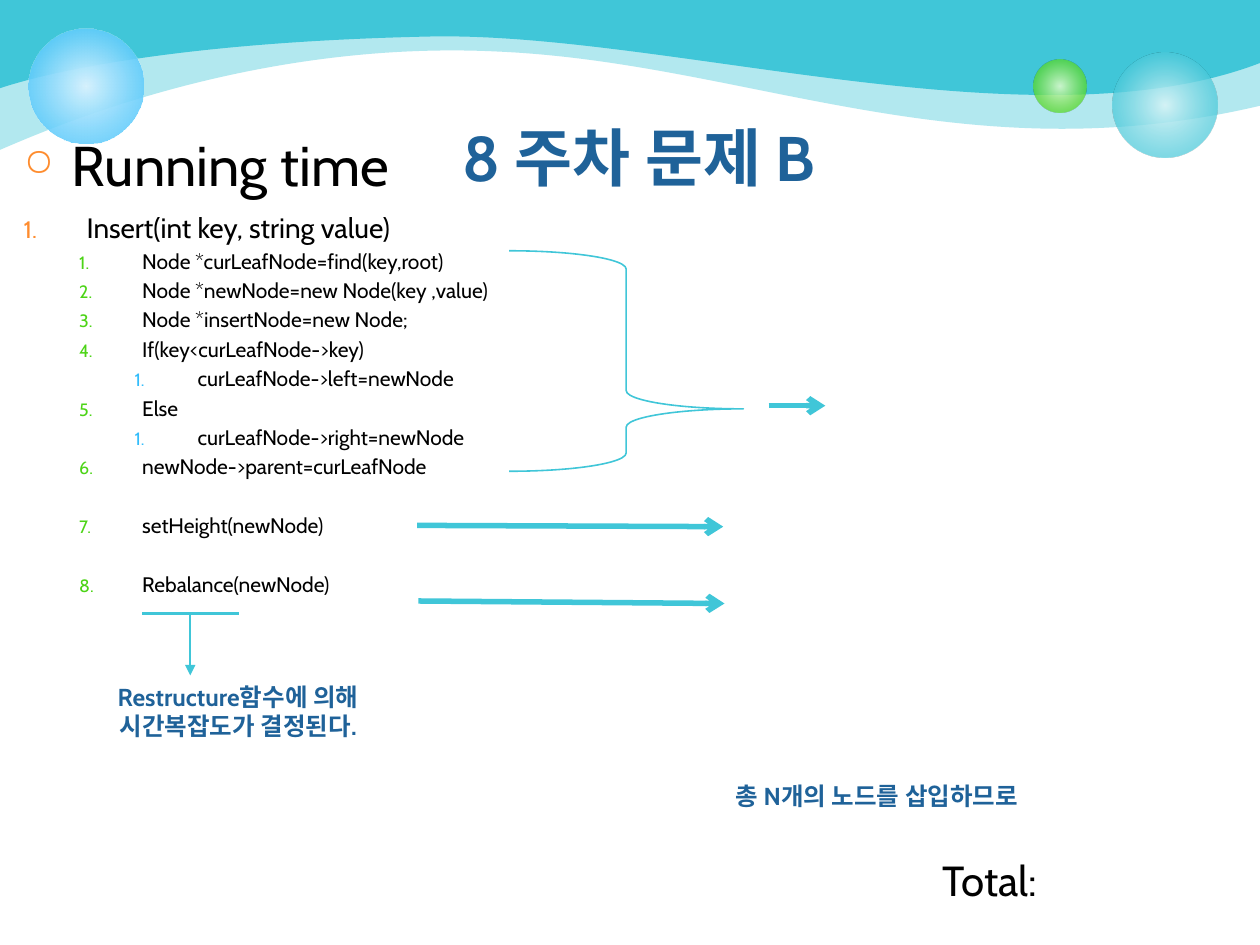
from pptx import Presentation, util as u
from pptx.dml.color import RGBColor
from pptx.enum import shapes, text
from pptx.oxml import parse_xml
from pptx.oxml.ns import nsdecls
from lxml import etree

FONT = "Cabin"
HUE = {"teal": "40C6D8", "navy": "1F6299", "ink": "000000",
       "orange": "FE8C2E", "green": "4CD416", "sky": "33BDFB"}
PLAIN = text.PP_ALIGN.LEFT
MID = text.PP_ALIGN.CENTER

WAVES = [
    (40, (0, 1.19), [(0.33, 1.05), (1.97, 0.31), (3.96, 0.41),
                     (5.95, 0.5), (7.62, 1.4), (10, 0.84)]),
    (100, (0, 0.7), [(0.45, 0.55), (1.53, 0.33), (3.41, 0.29),
                     (5.29, 0.25), (8.2, 1.19), (10, 0.5)]),
]
BALLS = [
    (8.83, 0.42, 0.83, [(0, "D9F4F7", 90), (76, "40C6D8", 70)]),
    (8.2, 0.47, 0.42, [(0, "DAFACD", 90), (76, "4CD416", 70)]),
    (0.23, 0.23, 0.91, [(0, "D6F2FE", 100), (100, "33BDFB", 80)]),
]
STEPS = [
    (0, "Insert(int key, string value)", 0),
    (1, "Node *curLeafNode=find(key,root)", 2.4),
    (1, "Node *newNode=new Node(key ,value)", 2.4),
    (1, "Node *insertNode=new Node;", 2.4),
    (1, "If(key<curLeafNode->key)", 2.4),
    (2, "curLeafNode->left=newNode", 2.4),
    (1, "Else", 2.4),
    (2, "curLeafNode->right=newNode", 2.4),
    (1, "newNode->parent=curLeafNode", 2.4),
    (1, "setHeight(newNode)", 19.2),
    (1, "Rebalance(newNode)", 19.2),
]
LEVELS = [(16, 0.5, "orange"), (12, 0.94, "green"), (12, 1.38, "sky")]
NOTES = [
    ((7.38, 6.73, 1.25, 0.5), "Total:", 24, "ink", PLAIN),
    ((2.46, 6.15, 9, 1.25), "총 N개의 노드를 삽입하므로", 14, "navy", MID),
    ((0.35, 5.36, 3.08, 0.61),
     "Restructure함수에 의해\n시간복잡도가 결정된다.", 14, "navy", MID),
]
LINES = [
    ((6.1, 3.22, 6.55, 3.22), 3.15, "arrow"),
    ((3.31, 4.17, 5.74, 4.18), 3.15, "arrow"),
    ((3.32, 4.77, 5.75, 4.79), 3.15, "arrow"),
    ((1.13, 4.87, 1.9, 4.87), 1.75, None),
    ((1.51, 4.87, 1.51, 5.36), 0.9, "triangle"),
]

deck = Presentation()
deck.slide_width, deck.slide_height = u.Inches(10), u.Inches(7.5)
slide = deck.slides.add_slide(deck.slide_layouts[5])
parts = slide.shapes


def inch(vals):
    return [u.Inches(v) for v in vals]


def rgb(name):
    return RGBColor.from_string(HUE[name])


def sub(node, tag, **attrs):
    space = node.nsmap["a"]
    return etree.SubElement(node, f"{{{space}}}{tag}", attrs)


def wave(alpha, start, bends):
    pen = parts.build_freeform(0, 0)
    pts = [start] + bends + [(10, 0)]
    pen.add_line_segments([inch(p) for p in pts], close=True)
    form = pen.convert_to_shape()
    legs = form._element.findall(".//{*}lnTo")[1:-1]
    for i in range(0, len(bends), 3):
        bend = parse_xml(f'<a:cubicBezTo {nsdecls("a")}/>')
        legs[i].addprevious(bend)
        for leg in legs[i:i + 3]:
            bend.append(leg[0])
            leg.getparent().remove(leg)
    form.shadow.inherit = False
    form.fill.solid()
    form.fill.fore_color.rgb = rgb("teal")
    form.line.fill.background()
    if alpha < 100:
        tint = form._element.spPr.find("{*}solidFill/{*}srgbClr")
        sub(tint, "alpha", val=str(alpha * 1000))


def ball(x, y, size, stops):
    disc = parts.add_shape(shapes.MSO_SHAPE.OVAL, *inch((x, y, size, size)))
    disc.line.fill.background()
    disc.shadow.inherit = False
    marks = "".join(
        f'<a:gs pos="{pos * 1000}"><a:srgbClr val="{tint}">'
        f'<a:alpha val="{alpha * 1000}"/></a:srgbClr></a:gs>'
        for pos, tint, alpha in stops)
    grad = parse_xml(
        f'<a:gradFill {nsdecls("a")}><a:gsLst>{marks}</a:gsLst>'
        '<a:path path="circle"><a:fillToRect l="50000" t="50000" '
        'r="50000" b="50000"/></a:path></a:gradFill>')
    disc._element.spPr.find("{*}prstGeom").addnext(grad)


def style(para, size, hue, bold=False, align=PLAIN):
    para.alignment = align
    for run in para.runs:
        run.font.size, run.font.name = u.Pt(size), FONT
        run.font.bold, run.font.color.rgb = bold, rgb(hue)


def bullet(para, left, hang, hue, share, kind, **attrs):
    prop = para._p.get_or_add_pPr()
    prop.set("marL", str(u.Inches(left)))
    prop.set("indent", str(-u.Inches(hang)))
    sub(sub(prop, "buClr"), "srgbClr", val=HUE[hue])
    sub(prop, "buSzPct", val=str(share * 1000))
    sub(prop, kind, **attrs)


def box(place, words, wrap=True):
    frame = parts.add_textbox(*inch(place)).text_frame
    frame.word_wrap = wrap
    frame.text = words
    return frame


def link(ends, width, head):
    line = parts.add_connector(shapes.MSO_CONNECTOR.STRAIGHT, *inch(ends))
    line.line.color.rgb, line.line.width = rgb("teal"), u.Pt(width)
    if head:
        sub(line._element.spPr.find("{*}ln"), "tailEnd", type=head)
    sub(line._element.spPr, "effectLst")


for item in WAVES:
    wave(*item)
for item in BALLS:
    ball(*item)

head = box((0.09, 0.99, 3.22, 0.64), "Running time", False).paragraphs[0]
bullet(head, 0.38, 0.38, "orange", 68, "buChar", char="○")
style(head, 32, "ink")

brace = parts.add_shape(shapes.MSO_SHAPE.RIGHT_BRACE,
                        *inch((4.04, 1.99, 1.86, 1.75)))
brace.adjustments[0], brace.adjustments[1] = 0.083, 0.717
brace.fill.background()
brace.line.color.rgb, brace.line.width = rgb("teal"), u.Pt(0.9)
brace.shadow.inherit = False

body = box((0.09, 1.62, 8.66, 5.96), "\n".join(s[1] for s in STEPS))
for para, (level, _, gap) in zip(body.paragraphs, STEPS):
    size, left, hue = LEVELS[level]
    para.level = level
    bullet(para, left, 0.5, hue, 85, "buAutoNum", type="arabicPeriod")
    if gap:
        para.space_before = u.Pt(gap)
    style(para, size, "ink")

for item in LINES:
    link(*item)
for place, words, size, hue, align in NOTES:
    for para in box(place, words).paragraphs:
        style(para, size, hue, hue == "navy", align)

title = parts.title
title.left, title.top, title.width, title.height = inch((0.57, 0.89, 9, 1.25))
title.text_frame.text = "8 주차 문제 B"
title.text_frame.vertical_anchor = text.MSO_ANCHOR.TOP
style(title.text_frame.paragraphs[0], 36, "navy", True, MID)

deck.save("out.pptx")
